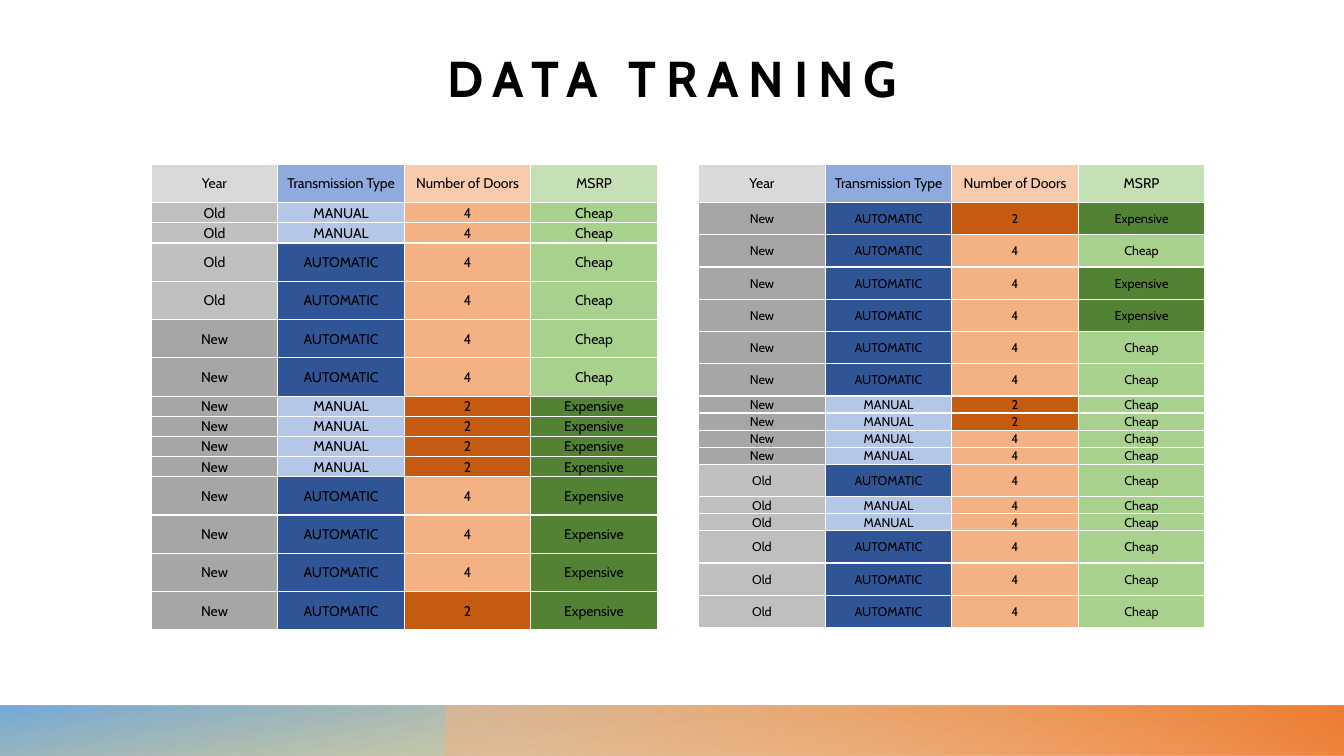
from lxml.etree import SubElement
from pptx import Presentation
from pptx.dml.color import RGBColor
from pptx.enum.shapes import MSO_SHAPE
from pptx.enum.text import MSO_ANCHOR, PP_ALIGN
from pptx.oxml.ns import qn
from pptx.util import Inches, Pt

FONT = "Cabin"
TITLE = "DATA TRANING"
HEADINGS = ("Year", "Transmission Type", "Number of Doors", "MSRP")
FIRST_CARS = [
    (2, "Old", "MANUAL", "4", "Cheap"),
    (2, "Old", "AUTOMATIC", "4", "Cheap"),
    (2, "New", "AUTOMATIC", "4", "Cheap"),
    (4, "New", "MANUAL", "2", "Expensive"),
    (3, "New", "AUTOMATIC", "4", "Expensive"),
    (1, "New", "AUTOMATIC", "2", "Expensive"),
]
MORE_CARS = [
    (1, "New", "AUTOMATIC", "2", "Expensive"),
    (1, "New", "AUTOMATIC", "4", "Cheap"),
    (2, "New", "AUTOMATIC", "4", "Expensive"),
    (2, "New", "AUTOMATIC", "4", "Cheap"),
    (2, "New", "MANUAL", "2", "Cheap"),
    (2, "New", "MANUAL", "4", "Cheap"),
    (1, "Old", "AUTOMATIC", "4", "Cheap"),
    (2, "Old", "MANUAL", "4", "Cheap"),
    (3, "Old", "AUTOMATIC", "4", "Cheap"),
]
CELL_COLORS = {
    "Year": "D9D9D9", "Old": "BFBFBF", "New": "A6A6A6",
    "Transmission Type": "8FAADC", "MANUAL": "B4C7E7", "AUTOMATIC": "2F5597",
    "Number of Doors": "F8CBAD", "4": "F4B183", "2": "C55A11",
    "MSRP": "C5E0B4", "Cheap": "A9D18E", "Expensive": "548235",
}
FOOTER_BANDS = [
    (0, 13.33, 180, 100, [(14, "CF9B00", 28), (100, "5B9BD5", 85)]),
    (4.42, 8.91, 0, 240, [(9, "F4B183", 55), (99, "ED7D31", 100)]),
]
TOP, HEADING_HEIGHT, TABLE_WIDTH = 1.63, 0.38, 5.02
LEFT_TABLE, RIGHT_TABLE = 1.5, 6.93


def rgb(color):
    """Turn a hex string into a colour."""
    return RGBColor.from_string(color)


def write(frame, text, size, bold=False):
    """Put one centred run into a text frame."""
    paragraph = frame.paragraphs[0]
    paragraph.alignment = PP_ALIGN.CENTER
    run = paragraph.add_run()
    run.text = text
    run.font.name, run.font.size, run.font.bold = FONT, Pt(size), bold
    run.font.color.rgb = rgb("000000")
    return run


def add_band(slide, left, width, rotation, angle, stops):
    """Add a footer band with a translucent gradient."""
    band = slide.shapes.add_shape(
        MSO_SHAPE.RECTANGLE, Inches(left), Inches(7), Inches(width), Inches(0.5))
    band.shadow.inherit = False
    band.line.fill.background()
    band.rotation = rotation
    properties = band.element.spPr
    properties.find(qn("a:xfrm")).set("flipH", "1")
    gradient = SubElement(properties, qn("a:gradFill"), rotWithShape="1")
    properties.find(qn("a:prstGeom")).addnext(gradient)
    stop_list = SubElement(gradient, qn("a:gsLst"))
    for position, color, opacity in stops:
        stop = SubElement(stop_list, qn("a:gs"), pos=str(position * 1000))
        tint = SubElement(stop, qn("a:srgbClr"), val=color)
        SubElement(tint, qn("a:alpha"), val=str(opacity * 1000))
    SubElement(gradient, qn("a:lin"), ang=str(angle * 60000), scaled="0")


def fill_cell(cell, text, size):
    """Write a cell with its value colour and white borders."""
    for side in ("L", "R", "T", "B"):
        border = SubElement(cell._tc.get_or_add_tcPr(), qn(f"a:ln{side}"), w=str(Pt(1)))
        SubElement(SubElement(border, qn("a:solidFill")), qn("a:srgbClr"), val="FFFFFF")
    cell.fill.solid()
    cell.fill.fore_color.rgb = rgb(CELL_COLORS[text])
    cell.margin_left = cell.margin_right = cell.margin_top = Inches(0.01)
    cell.margin_bottom = 0
    cell.vertical_anchor = MSO_ANCHOR.MIDDLE
    write(cell.text_frame, text, size)


def add_cars(slide, left, top, rows, size, tall, short):
    """Add a table whose manual rows are short and other rows tall."""
    heights = [short if "MANUAL" in row else tall for row in rows]
    table = slide.shapes.add_table(
        len(rows), len(HEADINGS), Inches(left), Inches(top),
        Inches(TABLE_WIDTH), Inches(sum(heights))).table
    table.first_row = table.horz_banding = False
    for column in table.columns:
        column.width = Inches(TABLE_WIDTH / len(HEADINGS))
    for table_row, height, values in zip(table.rows, heights, rows):
        table_row.height = Inches(height)
        for cell, text in zip(table_row.cells, values):
            fill_cell(cell, text, size)


def expand(groups):
    """Repeat each group of equal cars row by row."""
    return [values for count, *values in groups for _ in range(count)]


deck = Presentation()
deck.slide_width, deck.slide_height = Inches(13.33), Inches(7.5)
slide = deck.slides.add_slide(deck.slide_layouts[5])

for band in FOOTER_BANDS:
    add_band(slide, *band)

title = slide.shapes.title
title.left, title.top, title.width, title.height = map(Inches, (1.07, 0.3, 11.2, 0.77))
title_frame = title.text_frame
title_frame.margin_left = title_frame.margin_right = 0
title_frame.margin_top = title_frame.margin_bottom = 0
title_frame.vertical_anchor = MSO_ANCHOR.BOTTOM
title_run = write(title_frame, TITLE, 36, bold=True)
title_run.font._element.set("spc", "700")

add_cars(slide, LEFT_TABLE, TOP, [HEADINGS, *expand(FIRST_CARS)], 10, HEADING_HEIGHT, 0.2)
add_cars(slide, RIGHT_TABLE, TOP + HEADING_HEIGHT, expand(MORE_CARS), 9, 0.32, 0.17)
add_cars(slide, RIGHT_TABLE, TOP, [HEADINGS], 10, HEADING_HEIGHT, 0.2)

deck.save("out.pptx")
